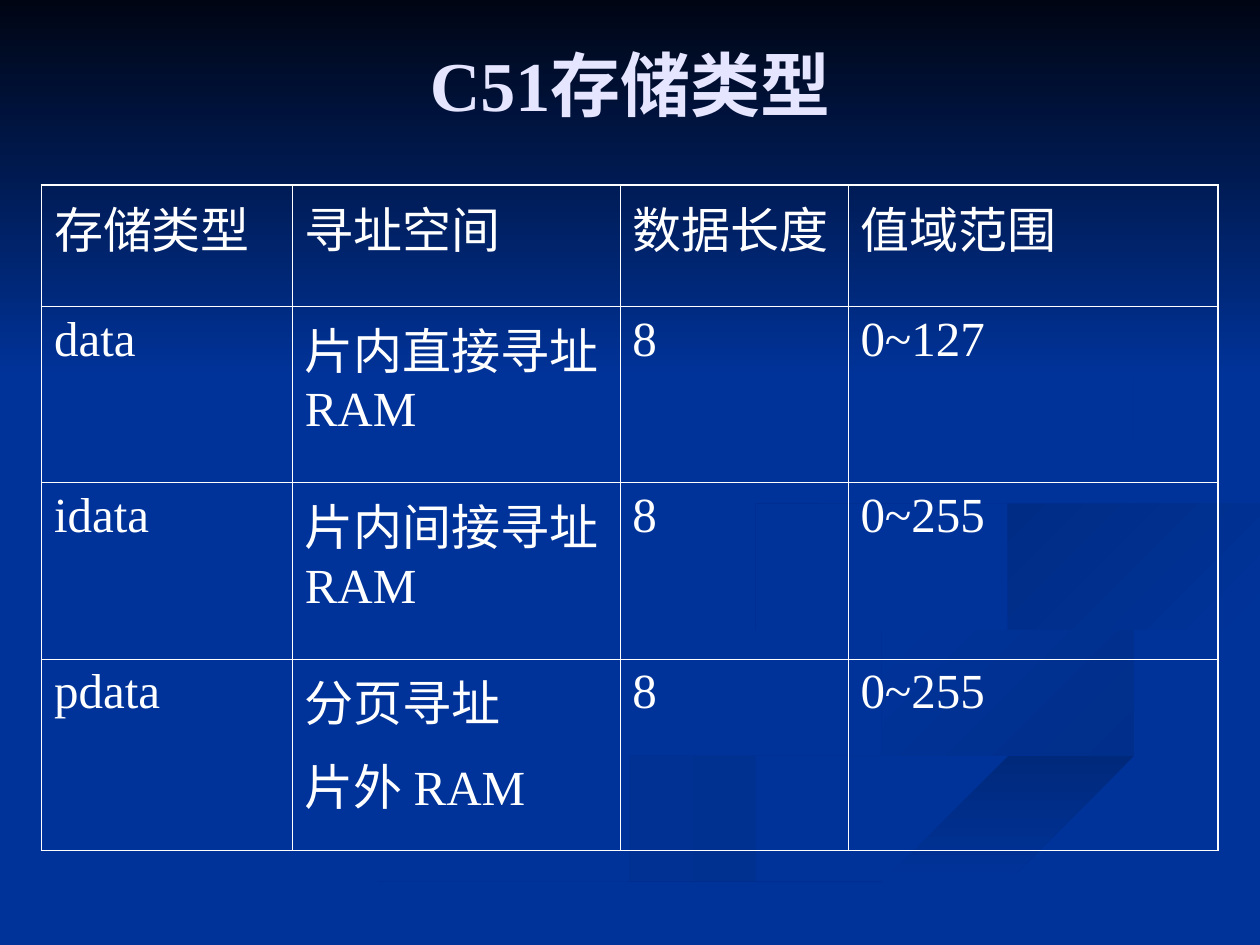
from lxml.etree import SubElement
from pptx import Presentation
from pptx.dml.color import RGBColor
from pptx.enum.text import MSO_ANCHOR, PP_ALIGN
from pptx.oxml.ns import qn
from pptx.util import Emu, Inches, Pt

WIDTH, HEIGHT = 10, 7.5
FONT = "Times New Roman"
BLUE = RGBColor(0x00, 0x33, 0x99)
NIGHT = RGBColor(0x00, 0x05, 0x14)
SHADE = RGBColor(0x00, 0x2E, 0x8A)
DEEP = RGBColor(0x00, 0x29, 0x7C)
DUSK = RGBColor(0x00, 0x2C, 0x85)
DARK = RGBColor(0x00, 0x2B, 0x81)
LILAC = RGBColor(0xE5, 0xE5, 0xFF)
WHITE = RGBColor(0xFF, 0xFF, 0xFF)
INNER, OUTER = Pt(0.45), Pt(1.08)
STEPS = 5  # straight pieces between two knots of a ribbon edge

# Knots of the edges that ribbons share, on the 10 by 7.5 grid
CREST = [(7.24, 4.64), (7.45, 4.9), (8.11, 5.15), (9.05, 5.4), (9.43, 5.7)]
SLOPE = [(5.03, 7.49), (6.3, 6.93), (7.64, 6.47), (9.03, 6.1), (9.98, 5.81)]
BROW = [(9.98, 4.02), (8.65, 4.24), (7.99, 4.42), (7.81, 4.6)]

# Each ribbon: its edges in order, gradient ends, clockwise angle
RIBBONS = [
    ([[(5.75, 4.59), (5.81, 4.83), (6.31, 5.05), (7.52, 5.43), (7.85, 5.7),
       (7.27, 6.02), (5.39, 6.49), (3, 7.49)],
      [(3.61, 7.49), (5.64, 6.65), (7.56, 6.14), (8, 5.81), (7.81, 5.53),
       (6.42, 5.07), (5.75, 4.59)]], SHADE, BLUE, 180),
    ([CREST + [(9.32, 5.89), (8.94, 6.05)],
      [(8.94, 6.05), (9.18, 5.81), (8.92, 5.53), (8.15, 5.3), (7.46, 5),
       (7.24, 4.64)]], SHADE, BLUE, 225),
    ([SLOPE, [(9.98, 6.09), (8.21, 6.51), (6.7, 7.02), (5.71, 7.49)]],
     DEEP, BLUE, 90),
    ([CREST + [(8.92, 6.05), (7.04, 6.55), (4.77, 7.49)], SLOPE,
      [(9.98, 5.38), (8.66, 5.09), (7.86, 4.73), (7.81, 4.6)], BROW[::-1],
      [(9.98, 3.87), (8.3, 4.15), (7.42, 4.39), (7.24, 4.64)]], BLUE, BLUE, 0),
    ([BROW + [(7.91, 4.78), (8.26, 4.96)],
      [(8.26, 4.96), (8.05, 4.72), (8.59, 4.43), (9.98, 4.2)]],
     BLUE, DUSK, 225),
    ([[(7.62, 2.33), (8.43, 2.75), (8.93, 3.35), (8.67, 3.84), (7.86, 4.12),
       (6.49, 4.36), (5.93, 4.7), (6.22, 5)],
      [(6.22, 5), (5.77, 4.62), (6.25, 4.26), (7.63, 3.98), (8.61, 3.7),
       (8.89, 3.35), (8.46, 2.79), (7.62, 2.33)]], BLUE, DARK, 225),
    # Night sky across the top
    ([[(0, 0), (WIDTH, 0)], [(WIDTH, 3.08), (0, 3.08)]], NIGHT, BLUE, 90),
]

COLUMNS = [1.99, 2.6, 1.81, 2.94]
ROWS = [0.96, 1.4, 1.4, 1.52]
STORAGE = [
    ["存储类型", "寻址空间", "数据长度", "值域范围"],
    ["data", "片内直接寻址 RAM", "8", "0~127"],
    ["idata", "片内间接寻址 RAM", "8", "0~255"],
    ["pdata", "分页寻址\n片外 RAM", "8", "0~255"],
]


def write(frame, text, *, size, color, bold=False, align=PP_ALIGN.LEFT, before=0):
    """Fill a text frame, one paragraph for each line."""
    frame.word_wrap = True
    for number, line in enumerate(text.split("\n")):
        para = frame.add_paragraph() if number else frame.paragraphs[0]
        para.alignment, para.space_before = align, Pt(before)
        span = para.add_run()
        span.text = line
        span.font.name, span.font.size, span.font.bold = FONT, Pt(size), bold
        span.font.color.rgb = color


def smooth(knots):
    """Points of a Catmull-Rom curve through the knots."""
    padded = [knots[0], *knots, knots[-1]]
    points = []
    for before, start, end, after in zip(padded, padded[1:], padded[2:], padded[3:]):
        for step in range(STEPS):
            t = step / STEPS
            points.append(tuple(
                b + t / 2 * (c - a + t * (2 * a - 5 * b + 4 * c - d
                                          + t * (3 * (b - c) + d - a)))
                for a, b, c, d in zip(before, start, end, after)))
    return points + [knots[-1]]


def draw_backdrop(page, box):
    left, top, width, height = box
    page.background.fill.solid()
    page.background.fill.fore_color.rgb = BLUE
    for edges, start, end, angle in RIBBONS:
        placed = [(left + x * width / WIDTH, top + y * height / HEIGHT)
                  for edge in edges for x, y in smooth(edge)]
        builder = page.shapes.build_freeform(*placed[0], scale=Inches(1))
        builder.add_line_segments(placed[1:], close=True)
        ribbon = builder.convert_to_shape()
        ribbon.shadow.inherit = False
        ribbon.line.fill.background()
        if start == end:
            ribbon.fill.solid()
            ribbon.fill.fore_color.rgb = start
            continue
        ribbon.fill.gradient()
        ribbon.fill.gradient_angle = 360 - angle
        for stop, color, position in zip(ribbon.fill.gradient_stops, (start, end), (0, 1)):
            stop.color.rgb, stop.position = color, position


def draw_title(page, box):
    frame = page.shapes.add_textbox(*map(Inches, box)).text_frame
    frame.vertical_anchor = MSO_ANCHOR.MIDDLE
    write(frame, "C51存储类型", size=40, color=LILAC, bold=True, align=PP_ALIGN.CENTER)


def set_borders(cell, widths):
    properties = cell._tc.get_or_add_tcPr()
    for place, (side, width) in enumerate(widths.items()):
        line = properties.makeelement(qn(f"a:ln{side}"), {"w": str(int(width))})
        properties.insert(place, line)
        fill = SubElement(line, qn("a:solidFill"))
        SubElement(fill, qn("a:srgbClr"), val=str(WHITE))


def draw_table(page, box):
    last_row, last_column = len(ROWS) - 1, len(COLUMNS) - 1
    table = page.shapes.add_table(len(ROWS), len(COLUMNS), *map(Inches, box)).table
    table.first_row = table.horz_banding = False
    for lines, shares, extent, side in ((table.columns, COLUMNS, box[2], "width"),
                                        (table.rows, ROWS, box[3], "height")):
        for line, share in zip(lines, shares):
            setattr(line, side, Emu(int(Inches(extent) * share / sum(shares))))
    for row, texts in enumerate(STORAGE):
        for column, text in enumerate(texts):
            cell = table.cell(row, column)
            cell.fill.background()
            write(cell.text_frame, text, size=28, color=WHITE, before=7)
            set_borders(cell, {
                "L": OUTER if column == 0 else INNER,
                "R": OUTER if column == last_column else INNER,
                "T": OUTER if row == 0 else INNER,
                "B": OUTER if row == last_row else INNER,
            })


def main():
    deck = Presentation()
    deck.slide_width, deck.slide_height = Inches(WIDTH), Inches(HEIGHT)
    page = deck.slides.add_slide(deck.slide_layouts[6])
    draw_backdrop(page, (0, 0, WIDTH, HEIGHT))
    draw_title(page, (0.5, 0.3, 9, 0.72))
    draw_table(page, (0.33, 1.47, 9.34, 5.28))
    deck.save("out.pptx")


if __name__ == "__main__":
    main()
